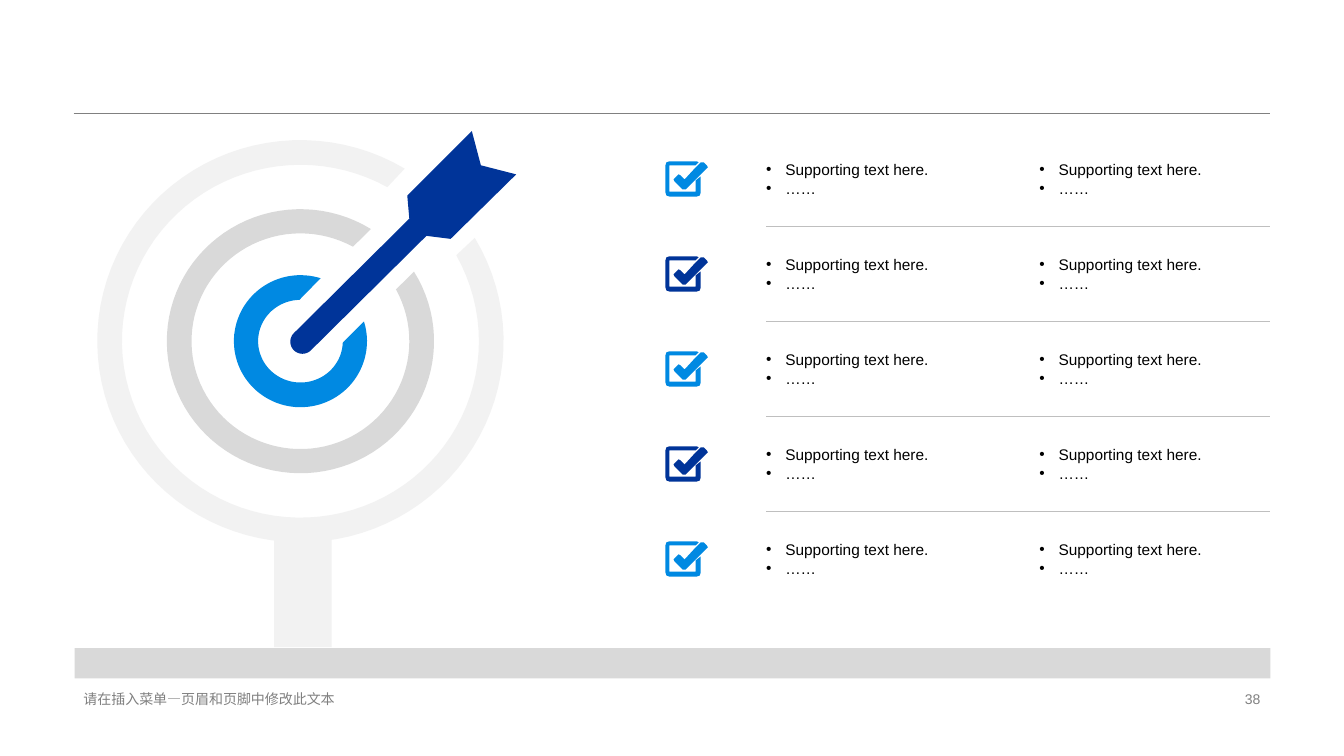
"""Build a slide with a dart in a target beside a five-row checklist."""
from math import atan2, cos, pi, sin

from lxml import etree
from pptx import Presentation
from pptx.dml.color import RGBColor
from pptx.enum.shapes import MSO_CONNECTOR, MSO_SHAPE
from pptx.enum.text import MSO_ANCHOR, PP_ALIGN
from pptx.oxml.ns import qn
from pptx.util import Inches, Pt

LEFT, RIGHT = PP_ALIGN.LEFT, PP_ALIGN.RIGHT
MIDDLE = MSO_ANCHOR.MIDDLE
RECT = MSO_SHAPE.RECTANGLE
STRAIGHT = MSO_CONNECTOR.STRAIGHT

FONT = "Arial"
BLACK = RGBColor(0x00, 0x00, 0x00)
GRAY = RGBColor(0x80, 0x80, 0x80)
RULE = RGBColor(0xBF, 0xBF, 0xBF)
MID = RGBColor(0xD9, 0xD9, 0xD9)
PALE = RGBColor(0xF2, 0xF2, 0xF2)
SKY = RGBColor(0x00, 0x89, 0xE2)
NAVY = RGBColor(0x00, 0x34, 0x99)

BULLETS = ["Supporting text here.", "……"]
ROW_COLORS = [SKY, NAVY, SKY, NAVY, SKY]
COLUMNS = [7.5, 10.21]
FOOTERS = [
    ("请在插入菜单—页眉和页脚中修改此文本", 0.73, 4.53, LEFT),
    ("38", 9.42, 3.18, RIGHT),
]
BARS = [
    (2.72, 5.35, 0.57, 1.07, PALE),
    (0.74, 6.43, 11.86, 0.3, MID),
]

ROW_PITCH = (5.37 - 1.6) / 4
ICON_LEFT, ICON_TOP = 6.6, 1.6
TEXT_TOP, RULE_TOP = 1.47, 2.24

CENTER = (2.98, 3.385)
RINGS = [
    (MID, (1.325, 1.31), (4.1, 2.7), (3.68, 2.27),
     (1.08, 1.07), (3.93, 2.87), (3.5, 2.45)),
    (SKY, (0.66, 0.655), (3.61, 3.19), (3.18, 2.76),
     (0.42, 0.41), (3.4, 3.4), (2.97, 2.98)),
    (PALE, (2.015, 1.995), (4.71, 2.36), (4.01, 1.68),
     (1.77, 1.75), (4.53, 2.53), (3.84, 1.86)),
]
DART_TIP = (3.0, 3.39)
DART_RADIUS = 0.12
DART_TAIL = [(4.06, 2.17), (4.04, 1.94), (4.68, 1.3), (4.77, 1.64),
             (5.12, 1.73), (4.47, 2.37), (4.23, 2.34)]
CHECK = [(0.37, 0.01), (0.38, 0.01), (0.41, 0.04), (0.42, 0.06), (0.41, 0.07),
         (0.23, 0.25), (0.2, 0.28), (0.19, 0.28), (0.17, 0.28), (0.09, 0.2),
         (0.08, 0.18), (0.09, 0.17), (0.12, 0.14), (0.13, 0.13), (0.15, 0.14),
         (0.19, 0.18), (0.3, 0.06), (0.35, 0.01)]
CHECK_BOX = [(0.04, 0), (0.31, 0), (0.33, 0.01), (0.3, 0.04), (0.04, 0.04),
             (0.04, 0.3), (0.3, 0.3), (0.3, 0.19), (0.35, 0.15), (0.35, 0.31),
             (0.34, 0.34), (0.31, 0.35), (0.04, 0.35), (0.01, 0.34),
             (0, 0.31), (0, 0.04), (0.01, 0.01)]


def paint(sp, color):
    sp.shadow.inherit = False
    sp.fill.solid()
    sp.fill.fore_color.rgb = color
    sp.line.fill.background()


def add_outline(s, contours, color):
    contours = [[(Inches(x), Inches(y)) for x, y in c] for c in contours]
    builder = s.shapes.build_freeform(*contours[0][0])
    builder.add_line_segments(contours[0][1:], close=True)
    for contour in contours[1:]:
        builder.move_to(*contour[0])
        builder.add_line_segments(contour[1:], close=True)
    paint(builder.convert_to_shape(), color)


def arc(center, radii, start, sweep, steps=90):
    angles = [start + sweep * i / steps for i in range(steps + 1)]
    return [(center[0] + radii[0] * cos(a), center[1] + radii[1] * sin(a))
            for a in angles]


def arc_between(radii, first, last):
    start, end = [atan2((y - CENTER[1]) / radii[1], (x - CENTER[0]) / radii[0])
                  for x, y in (first, last)]
    return arc(CENTER, radii, start, (end - start) % (2 * pi))


def add_rule(s, left, top, color):
    line = s.shapes.add_connector(STRAIGHT, Inches(left), Inches(top),
                                  Inches(12.6), Inches(top))
    line.line.color.rgb = color
    line.line.width = Pt(0.25)
    etree.SubElement(line._element.spPr, qn("a:effectLst"))


def add_text(s, box, lines, size, color, align=LEFT, bullet=False):
    tf = s.shapes.add_textbox(*[Inches(v) for v in box]).text_frame
    tf.word_wrap = True
    tf.vertical_anchor = MIDDLE
    for i, line in enumerate(lines):
        p = tf.paragraphs[0] if i == 0 else tf.add_paragraph()
        p.alignment = align
        if bullet:
            pPr = p._p.get_or_add_pPr()
            pPr.set("marL", str(Inches(0.19)))
            pPr.set("indent", str(-Inches(0.19)))
            etree.SubElement(pPr, qn("a:buFont"), typeface=FONT)
            etree.SubElement(pPr, qn("a:buChar"), char="•")
        r = p.add_run()
        r.text = line
        r.font.name = FONT
        r.font.size = Pt(size)
        r.font.color.rgb = color


def main():
    prs = Presentation()
    prs.slide_width, prs.slide_height = Inches(13.33), Inches(7.5)
    s = prs.slides.add_slide(prs.slide_layouts[6])

    add_rule(s, 0.73, 1.12, GRAY)
    for text, left, width, align in FOOTERS:
        add_text(s, (left, 6.82, width, 0.23), [text], 10, GRAY, align)

    for left, top, width, height, color in BARS:
        bar = s.shapes.add_shape(RECT, Inches(left), Inches(top),
                                 Inches(width), Inches(height))
        paint(bar, color)
    tip = arc(DART_TIP, (DART_RADIUS, DART_RADIUS), pi / 4, pi, 24)
    add_outline(s, [tip + DART_TAIL], NAVY)
    for color, outer, out_a, out_b, inner, in_a, in_b in RINGS:
        ring = arc_between(outer, out_a, out_b)
        ring += reversed(arc_between(inner, in_a, in_b))
        add_outline(s, [ring], color)

    for row, color in enumerate(ROW_COLORS):
        drop = row * ROW_PITCH
        icon = [[(ICON_LEFT + x, ICON_TOP + drop + y) for x, y in contour]
                for contour in (CHECK, CHECK_BOX)]
        add_outline(s, icon, color)
        for left in COLUMNS:
            add_text(s, (left, TEXT_TOP + drop, 2.39, 0.61), BULLETS, 11,
                     BLACK, bullet=True)
        if row < len(ROW_COLORS) - 1:
            add_rule(s, 7.6, RULE_TOP + drop, RULE)

    prs.save("out.pptx")


if __name__ == "__main__":
    main()
